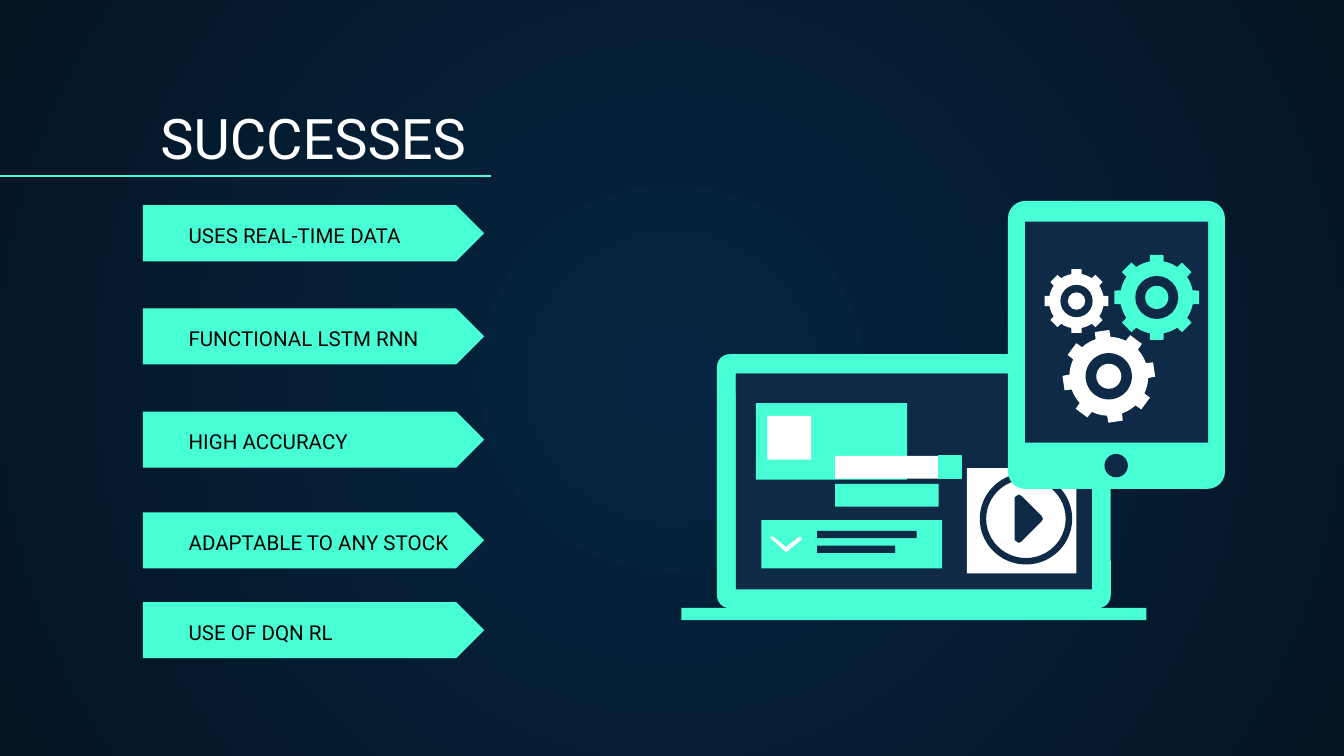
"""Build the SUCCESSES slide: five arrow labels beside a laptop and a tablet."""
from dataclasses import dataclass
from math import cos, radians, sin

from pptx import Presentation
from pptx import util as u
from pptx.dml import color
from pptx.enum import shapes, text
from pptx.oxml import ns, xmlchemy

KIND = shapes.MSO_SHAPE


@dataclass(frozen=True)
class Theme:
    mint: str = "48FFD5"
    navy: str = "0E2A47"
    white: str = "FFFFFF"
    black: str = "000000"
    glow: str = "052643"
    night: str = "041523"
    font: str = "Roboto"
    title_size: int = 30
    label_size: int = 11
    rule_width: float = 0.75


def rgb(code):
    return color.RGBColor.from_string(code)


def write(box, words, *, font, size, ink):
    frame = box.text_frame
    frame.word_wrap = True
    frame.auto_size = text.MSO_AUTO_SIZE.NONE
    frame.vertical_anchor = text.MSO_ANCHOR.BOTTOM
    frame.margin_left = frame.margin_right = u.Inches(0.1)
    frame.margin_top = frame.margin_bottom = u.Inches(0.1)
    para = frame.paragraphs[0]
    para.alignment = text.PP_ALIGN.LEFT
    para.line_spacing = 1
    span = para.add_run()
    span.text = words
    span.font.name, span.font.size = font, u.Pt(size)
    span.font.color.rgb = rgb(ink)


class Sketch:
    COLUMNS = 100

    def __init__(self, deck, theme):
        self.theme = theme
        self.cell = deck.slide_width / self.COLUMNS
        self.page = deck.slides.add_slide(deck.slide_layouts[5])

    def grid(self, *cells):
        return [round(value * self.cell) for value in cells]

    def background(self):
        fill = self.page.background.fill
        fill.gradient()
        for stop, code in zip(fill.gradient_stops, (self.theme.glow, self.theme.night)):
            stop.color.rgb = rgb(code)
        gradient = self.page.element.find(".//" + ns.qn("a:gradFill"))
        gradient.remove(gradient.find(ns.qn("a:lin")))
        circle = xmlchemy.OxmlElement("a:path")
        circle.set("path", "circle")
        focus = xmlchemy.OxmlElement("a:fillToRect")
        for side in "ltrb":
            focus.set(side, "50000")
        circle.append(focus)
        gradient.append(circle)

    def title(self, words, *place):
        box = self.page.shapes.title
        box.left, box.top, box.width, box.height = self.grid(*place)
        write(box, words, font=self.theme.font, size=self.theme.title_size,
              ink=self.theme.white)

    def label(self, words, *place):
        box = self.page.shapes.add_textbox(*self.grid(*place))
        write(box, words, font=self.theme.font, size=self.theme.label_size,
              ink=self.theme.black)

    def rule(self, *ends):
        line = self.page.shapes.add_connector(shapes.MSO_CONNECTOR.STRAIGHT,
                                              *self.grid(*ends))
        line.line.color.rgb = rgb(self.theme.mint)
        line.line.width = u.Pt(self.theme.rule_width)
        properties = line._element.find(ns.qn("p:spPr"))
        properties.append(xmlchemy.OxmlElement("a:effectLst"))

    def paint(self, shape, fill, outlined=False):
        shape.shadow.inherit = False
        shape.fill.solid()
        shape.fill.fore_color.rgb = rgb(fill)
        if outlined:
            shape.line.color.rgb = rgb(fill)
            shape.line.width = u.Pt(self.theme.rule_width)
        else:
            shape.line.fill.background()

    def block(self, fill, *place, kind=KIND.RECTANGLE, adjust=None, outlined=False):
        shape = self.page.shapes.add_shape(kind, *self.grid(*place))
        if adjust is not None:
            shape.adjustments[0] = adjust
        self.paint(shape, fill, outlined)

    def disc(self, fill, x, y, radius):
        self.block(fill, x - radius, y - radius, 2 * radius, 2 * radius, kind=KIND.OVAL)

    def outline(self, fill, points):
        start, *rest = [self.grid(*point) for point in points]
        builder = self.page.shapes.build_freeform(*start)
        builder.add_line_segments(rest, close=True)
        self.paint(builder.convert_to_shape(), fill)

    def gear(self, fill, x, y, radius, tilt=0):
        points = []
        for tooth in range(8):
            turn = tilt + tooth * 45
            corners = [(11, 0.85), (9, 1), (-9, 1), (-11, 0.85)]
            valley = [(-angle, 0.85) for angle in (16, 20, 24, 28)]
            for angle, share in corners + valley:
                bearing = radians(turn - angle)
                points.append((x + radius * share * sin(bearing),
                               y - radius * share * cos(bearing)))
        self.outline(fill, points)
        self.disc(self.theme.navy, x, y, radius * 0.5)
        self.disc(fill, x, y, radius * 0.27)


def draw_labels(sketch):
    arrows = {
        "USES REAL-TIME DATA": 15.27,
        "FUNCTIONAL LSTM RNN": 22.95,
        "HIGH ACCURACY": 30.63,
        "ADAPTABLE TO ANY STOCK": 38.12,
        "USE OF DQN RL": 44.8,
    }
    for words, top in arrows.items():
        sketch.block(sketch.theme.mint, 10.63, top, 25.4, 4.17, kind=KIND.PENTAGON, adjust=0.5)
        sketch.label(words, 13.05, top + 2.05, 22.7, 2.1)


def draw_laptop(sketch):
    mint, navy, white = sketch.theme.mint, sketch.theme.navy, sketch.theme.white
    sketch.block(mint, 53.35, 26.35, 29.3, 18.9, kind=KIND.ROUNDED_RECTANGLE, adjust=0.05)
    for fill, *place in (
        (navy, 54.75, 27.8, 26.5, 16.05),
        (mint, 50.7, 45.23, 34.6, 0.93),
        (navy, 54.75, 27.8, 26.5, 1.5),
        (mint, 56.25, 30, 11.25, 5.7),
        (white, 57.1, 30.95, 3.25, 3.25),
        (mint, 60.2, 38.7, 9.9, 3.6),
        (navy, 60.8, 39.5, 7.4, 0.55),
        (navy, 60.8, 40.6, 5.8, 0.55),
        (mint, 56.65, 38.7, 3.55, 3.6),
        (mint, 62.15, 36, 7.7, 1.7),
        (white, 62.15, 33.93, 7.7, 1.7),
    ):
        sketch.block(fill, *place)
    sketch.block(mint, 69.85, 33.93, 1.7, 1.7, outlined=True)
    sketch.outline(white, [(57.3, 40), (57.5, 39.9), (58.5, 40.7),
                           (59.5, 39.9), (59.7, 40.1), (58.5, 41.1)])
    sketch.block(white, 71.95, 34.83, 8.15, 7.83)
    sketch.block(navy, 72.9, 35.2, 6.87, 6.8, kind=KIND.DONUT, adjust=0.07)
    sketch.outline(navy, [(75.5, 37), (75.8, 36.8), (76, 36.9), (77.5, 38.4), (77.6, 38.6),
                          (77.5, 38.8), (76, 40.3), (75.8, 40.4), (75.5, 40.2)])


def draw_tablet(sketch):
    mint, navy, white = sketch.theme.mint, sketch.theme.navy, sketch.theme.white
    sketch.block(mint, 75, 14.95, 16.15, 21.43, kind=KIND.ROUNDED_RECTANGLE, adjust=0.08)
    sketch.block(navy, 76.27, 16.5, 13.62, 16.45)
    sketch.disc(navy, 83.05, 34.65, 0.87)
    sketch.gear(mint, 86.07, 22.13, 3.2)
    sketch.gear(white, 80.1, 22.4, 2.4)
    sketch.gear(white, 82.5, 28, 3.45, tilt=-8.5)


def main():
    deck = Presentation()
    deck.slide_width = u.Inches(10)
    deck.slide_height = deck.slide_width * 9 // 16
    sketch = Sketch(deck, Theme())
    sketch.background()
    sketch.title("SUCCESSES", 10.93, 7.1, 85.7, 6.6)
    sketch.rule(0, 13.1, 36.5, 13.1)
    draw_labels(sketch)
    draw_laptop(sketch)
    draw_tablet(sketch)
    deck.save("out.pptx")


if __name__ == "__main__":
    main()
